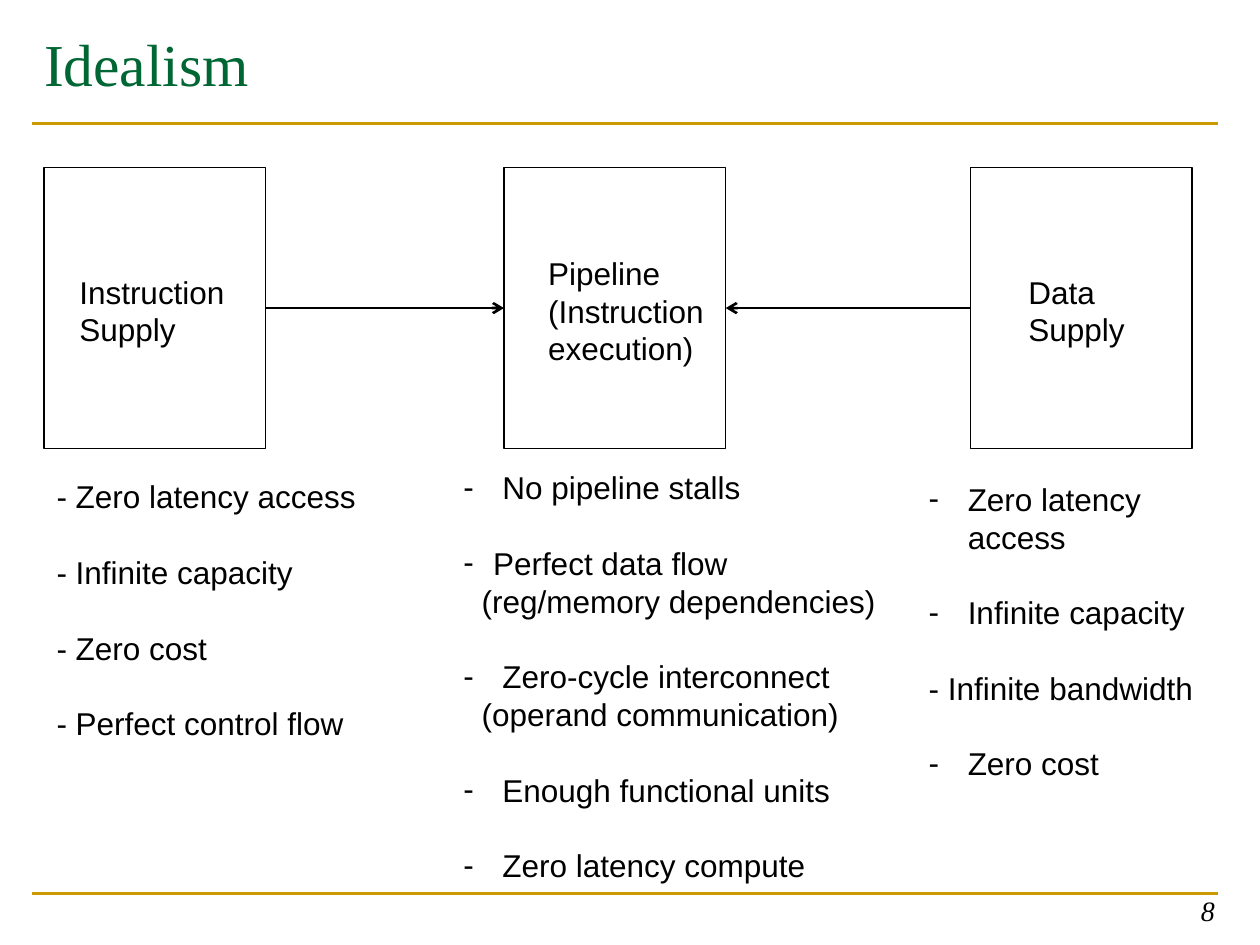
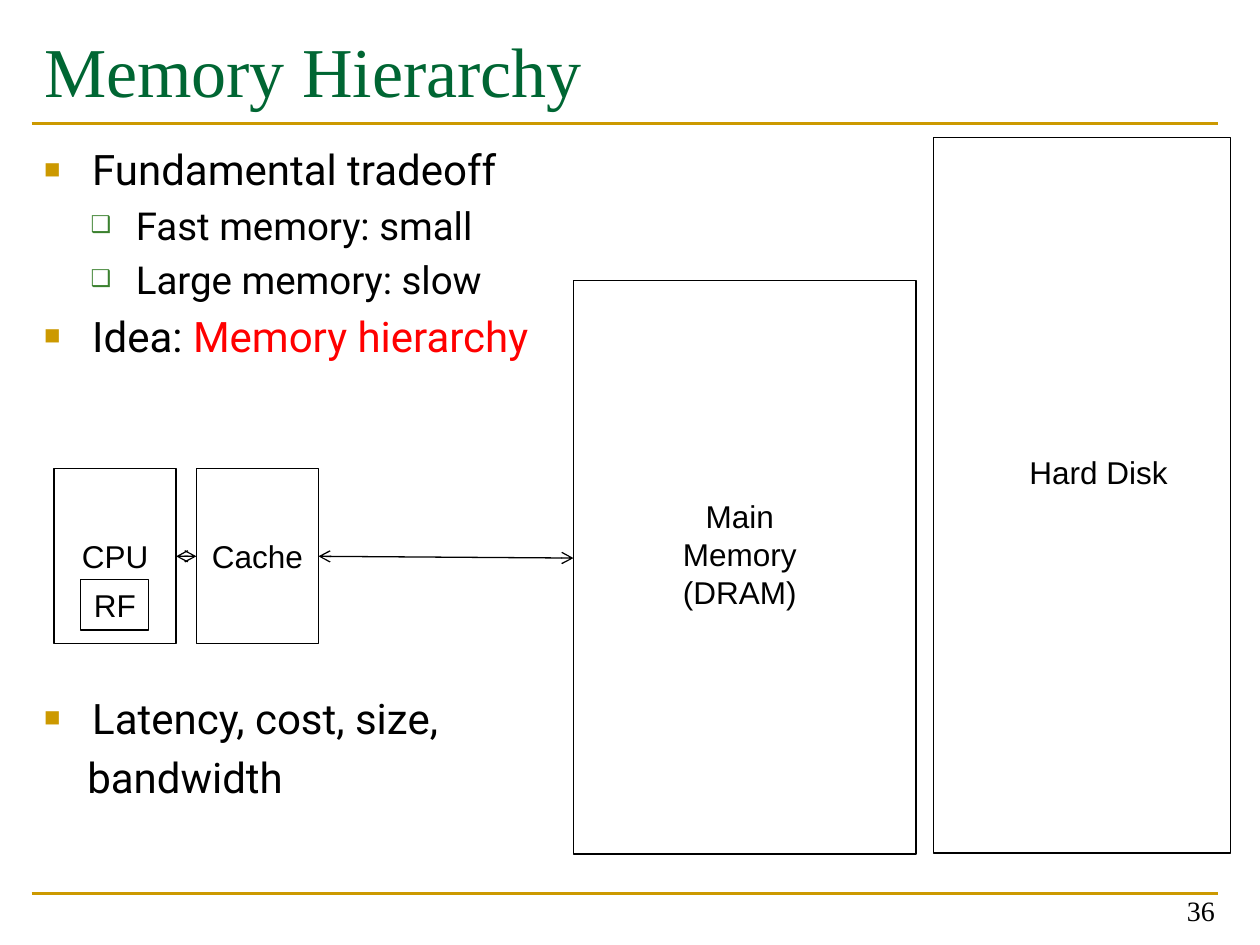
from lxml.etree import SubElement
from pptx import Presentation
from pptx.dml.color import RGBColor
from pptx.enum.shapes import MSO_CONNECTOR, MSO_SHAPE
from pptx.enum.text import MSO_ANCHOR, PP_ALIGN
from pptx.oxml.ns import qn
from pptx.util import Cm, Pt

# Shared look
GOLD, GREEN, BLACK, RED = "CC9900", "006633", "000000", "FF0000"
LINE_HEIGHT = 1.2
TITLE_FONT = {"name": "Times New Roman", "size": 34, "color": GREEN}
NUMBER_FONT = {"name": "Times New Roman", "size": 16, "color": BLACK}
LABEL_FONT = {"name": "Arial", "size": 18, "color": BLACK}
BODY_FONT = {"name": "Roboto", "size": 24, "color": BLACK}
SUB_FONT = BODY_FONT | {"size": 22}
RULE_LEFT, RULE_RIGHT, RULE_TOPS = 0.64, 24.56, (2.49, 18.01)
TITLE_BOX = (0.64, 0.43, 23.93, 2.97)
NUMBER_BOX = (18.82, 17.55, 5.92, 1.27)
LEFT, RIGHT, TOP, BOTTOM = 1, 3, 0, 2  # connection sites, by side

# Bullets: character, colour, size in percent, text indent in cm
DASH = ("-", None, 100, 0.79)
NARROW_DASH = ("-", None, 100, 0.6)
SQUARE = ("■", GOLD, 65, 0.97)
HOLLOW = ("❑", "3B812F", 60, 0.91)

# Slide "Idealism": boxes are (label, left, label margin)
STAGE_TOP, STAGE_WIDTH, STAGE_HEIGHT = 3.38, 4.47, 5.66
STAGES = [
    ("Instruction\nSupply", 0.89, 0.71),
    ("Pipeline\n(Instruction\nexecution)", 10.16, 0.89),
    ("Data\nSupply", 19.56, 1.17),
]
GAP = 21.6
# Each ideal is (text, bullet, left margin in cm, space before)
IDEALS = [
    ((0.89, 9.5, 7.2, 7.4), [
        ("- Zero latency access", None, 0, 0),
        ("- Infinite capacity", None, 0, GAP),
        ("- Zero cost", None, 0, GAP),
        ("- Perfect control flow", None, 0, GAP),
    ]),
    ((9.09, 9.32, 9.2, 8.7), [
        ("No pipeline stalls", DASH, 0, 0),
        ("Perfect data flow", NARROW_DASH, 0, GAP),
        ("(reg/memory dependencies)", None, 0.37, 0),
        ("Zero-cycle interconnect", DASH, 0, GAP),
        ("(operand communication)", None, 0.37, 0),
        ("Enough functional units", DASH, 0, GAP),
        ("Zero latency compute", DASH, 0, GAP),
    ]),
    ((18.47, 9.55, 6.6, 7.4), [
        ("Zero latency access", DASH, 0, 0),
        ("Infinite capacity", DASH, 0, GAP),
        ("- Infinite bandwidth", None, 0, GAP),
        ("Zero cost", DASH, 0, GAP),
    ]),
]

# Slide "Memory Hierarchy": boxes are (label, frame, margins)
MEMORIES = {
    "cpu": ("CPU", (1.09, 9.45, 2.46, 3.53), {}),
    "registers": ("RF", (1.63, 11.68, 1.37, 1.02), {}),
    "cache": ("Cache", (3.96, 9.45, 2.46, 3.53), {}),
    "main": ("Main\nMemory\n(DRAM)", (11.56, 5.66, 6.91, 11.56),
             {"margin_right": 0.2, "margin_bottom": 0.55}),
    "disk": ("Hard Disk", (18.82, 2.77, 5.99, 14.43),
             {"margin_left": 0.66, "margin_bottom": 0.95}),
}
MAIN_LINK = (11.56, 11.25)
BODY_BOX = (0.64, 2.77, 10.9, 14.43)
# Each point is (runs, font, bullet, left margin in cm, space before)
POINTS = [
    ([("Fundamental tradeoff", BLACK)], BODY_FONT, SQUARE, 0, 0),
    ([("Fast memory: small", BLACK)], SUB_FONT, HOLLOW, 0.94, 4.4),
    ([("Large memory: slow", BLACK)], SUB_FONT, HOLLOW, 0.94, 4.4),
    ([("Idea: ", BLACK), ("Memory hierarchy", RED)], BODY_FONT, SQUARE, 0, 4.8),
    ([("Latency, cost, size,", BLACK)], BODY_FONT, SQUARE, 0, 189.6),
    ([("bandwidth", BLACK)], BODY_FONT, None, 0.87, 4.8),
]


def color(value):
    return RGBColor.from_string(value)


def set_all(target, values):
    for name, value in values.items():
        setattr(target, name, value)


def set_bullet(paragraph, bullet, margin):
    """Place the bullet at the margin and the text one indent after it."""
    properties = paragraph._p.get_or_add_pPr()
    indent = bullet[3] if bullet else 0
    properties.set("marL", str(Cm(margin + indent)))
    properties.set("indent", str(-Cm(indent)))
    if not bullet:
        SubElement(properties, qn("a:buNone"))
        return
    character, tint, percent, _ = bullet
    if tint:
        fill = SubElement(properties, qn("a:buClr"))
        SubElement(fill, qn("a:srgbClr"), val=tint)
    SubElement(properties, qn("a:buSzPct"), val=str(percent * 1000))
    SubElement(properties, qn("a:buFont"), typeface="Arial")
    SubElement(properties, qn("a:buChar"), char=character)


def write(paragraph, runs, font, before=0, align=PP_ALIGN.LEFT):
    set_all(paragraph, {"alignment": align, "space_before": Pt(before),
                        "line_spacing": Pt(font["size"] * LINE_HEIGHT)})
    for text, tint in runs:
        run = paragraph.add_run()
        run.text = text
        set_all(run.font, {"name": font["name"], "size": Pt(font["size"]),
                           "italic": font.get("italic", False)})
        run.font.color.rgb = color(tint)


def paragraphs_of(frame, count):
    return [frame.paragraphs[0]] + [frame.add_paragraph() for _ in range(count - 1)]


def add_text(slide, box):
    frame = slide.shapes.add_textbox(*map(Cm, box)).text_frame
    frame.word_wrap = True
    return frame


def add_box(slide, label, box, margins, align=PP_ALIGN.CENTER):
    shape = slide.shapes.add_shape(MSO_SHAPE.RECTANGLE, *map(Cm, box))
    shape.shadow.inherit = False
    shape.fill.background()
    shape.line.color.rgb = color(BLACK)
    shape.line.width = Pt(0.75)
    frame = shape.text_frame
    set_all(frame, {"word_wrap": True, "vertical_anchor": MSO_ANCHOR.MIDDLE})
    sides = ("margin_left", "margin_right", "margin_top", "margin_bottom")
    set_all(frame, {side: Cm(margins.get(side, 0)) for side in sides})
    lines = label.split("\n")
    for paragraph, line in zip(paragraphs_of(frame, len(lines)), lines):
        write(paragraph, [(line, BLACK)], LABEL_FONT, align=align)
    return shape


def add_line(slide, start, end, tint, width, arrows=()):
    """Draw a line; each end is a point in cm or a (shape, side) pair."""
    joined = [not isinstance(place[0], (int, float)) for place in (start, end)]
    points = [(0, 0) if join else place for join, place in zip(joined, (start, end))]
    line = slide.shapes.add_connector(
        MSO_CONNECTOR.STRAIGHT, *(Cm(value) for point in points for value in point))
    if joined[0]:
        line.begin_connect(*start)
    if joined[1]:
        line.end_connect(*end)
    line.line.color.rgb = color(tint)
    line.line.width = Pt(width)
    for arrow in arrows:
        SubElement(line.line._get_or_add_ln(), qn("a:" + arrow), type="arrow")
    SubElement(line._element.spPr, qn("a:effectLst"))


def add_slide(presentation, title, size, number, italic):
    slide = presentation.slides.add_slide(presentation.slide_layouts[6])
    for top in RULE_TOPS:
        add_line(slide, (RULE_LEFT, top), (RULE_RIGHT, top), GOLD, 1.5)
    write(add_text(slide, TITLE_BOX).paragraphs[0], [(title, GREEN)],
          TITLE_FONT | {"size": size})
    frame = add_text(slide, NUMBER_BOX)
    frame.vertical_anchor = MSO_ANCHOR.BOTTOM
    write(frame.paragraphs[0], [(number, BLACK)],
          NUMBER_FONT | {"italic": italic}, align=PP_ALIGN.RIGHT)
    return slide


def add_points(slide, box, points):
    paragraphs = paragraphs_of(add_text(slide, box), len(points))
    for paragraph, (runs, font, bullet, margin, before) in zip(paragraphs, points):
        set_bullet(paragraph, bullet, margin)
        write(paragraph, runs, font, before)


def build_idealism(presentation):
    slide = add_slide(presentation, "Idealism", 34, "8", True)
    instructions, pipeline, data = [
        add_box(slide, label, (left, STAGE_TOP, STAGE_WIDTH, STAGE_HEIGHT),
                {"margin_left": margin, "margin_top": 0.1}, PP_ALIGN.LEFT)
        for label, left, margin in STAGES]
    for start, end in (((instructions, RIGHT), (pipeline, LEFT)),
                       ((data, LEFT), (pipeline, RIGHT))):
        add_line(slide, start, end, BLACK, 1.5, ["tailEnd"])
    for box, ideals in IDEALS:
        add_points(slide, box, [([(text, BLACK)], LABEL_FONT, *layout)
                                for text, *layout in ideals])


def build_memory_hierarchy(presentation):
    slide = add_slide(presentation, "Memory Hierarchy", 40, "36", False)
    add_points(slide, BODY_BOX, POINTS)
    boxes = {name: add_box(slide, *memory) for name, memory in MEMORIES.items()}
    for start, end in ((MAIN_LINK, (boxes["cache"], RIGHT)),
                       ((boxes["cache"], LEFT), (boxes["cpu"], RIGHT))):
        add_line(slide, start, end, BLACK, 0.75, ["headEnd", "tailEnd"])


def main():
    presentation = Presentation()
    set_all(presentation, {"slide_width": Cm(25.4), "slide_height": Cm(19.05)})
    build_idealism(presentation)
    build_memory_hierarchy(presentation)
    presentation.save("out.pptx")


if __name__ == "__main__":
    main()
